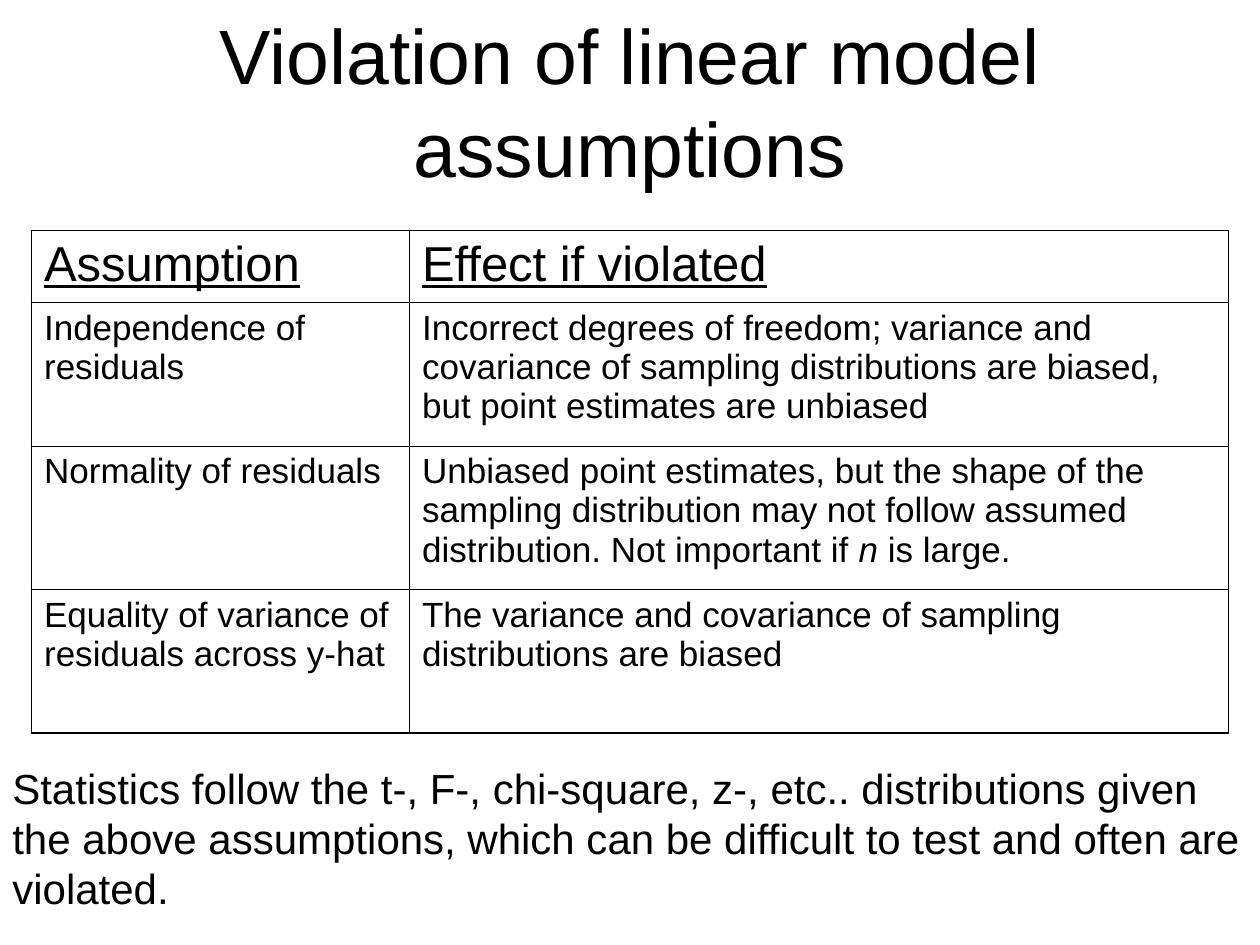
from lxml.etree import SubElement
from pptx import Presentation
from pptx.dml.color import RGBColor
from pptx.enum.text import MSO_ANCHOR, MSO_AUTO_SIZE, PP_ALIGN
from pptx.oxml.ns import qn
from pptx.util import Inches, Pt

BLACK = "000000"
COLUMN_WIDTHS = (3, 6.5)
ROW_HEIGHTS = (0.57, 1.14, 1.14, 1.14)
ASSUMPTIONS = (
    (("Assumption",), ("Effect if violated",)),
    (("Independence of residuals",),
     ("Incorrect degrees of freedom; variance and covariance of sampling "
      "distributions are biased, but point estimates are unbiased",)),
    (("Normality of residuals",),
     ("Unbiased point estimates, but the shape of the sampling distribution "
      "may not follow assumed distribution. Not important if ", "n", " is large.")),
    (("Equality of variance of residuals across y-hat",),
     ("The variance and covariance of sampling distributions are biased",)),
)


def color(value):
    """Turn a hex string into a colour."""
    return RGBColor.from_string(value)


class SlideBuilder:
    """Hold the style and the current slide."""

    def __init__(self, slide, font="Arial", ink=BLACK):
        """Keep the slide and its text style."""
        self.slide, self.font, self.ink = slide, font, ink

    def style(self, run, size, underline=False, italic=False):
        """Format one run."""
        run.font.name = self.font
        run.font.size = Pt(size)
        run.font.color.rgb = color(self.ink)
        run.font.underline = underline
        run.font.italic = italic

    def title(self, wording, left, top, width, height):
        """Fill and place the title placeholder."""
        heading = self.slide.shapes.title
        heading.left, heading.top = Inches(left), Inches(top)
        heading.width, heading.height = Inches(width), Inches(height)
        frame = heading.text_frame
        frame.text = wording
        frame.word_wrap = True
        frame.auto_size = MSO_AUTO_SIZE.NONE
        frame.vertical_anchor = MSO_ANCHOR.MIDDLE
        frame.paragraphs[0].alignment = PP_ALIGN.CENTER
        self.style(frame.paragraphs[0].runs[0], 44)

    def borders(self, cell, widths):
        """Draw the left, right, top and bottom edges of a cell."""
        properties = cell._tc.get_or_add_tcPr()
        for position, (edge, width) in enumerate(zip("LRTB", widths)):
            line = SubElement(properties, qn(f"a:ln{edge}"), w=str(Pt(width)))
            fill = SubElement(line, qn("a:solidFill"))
            SubElement(fill, qn("a:srgbClr"), val=self.ink)
            properties.insert(position, line)

    def table(self, rows, left, top, widths, heights):
        """Add a ruled table with an underlined heading row."""
        grid = self.slide.shapes.add_table(
            len(heights), len(widths), Inches(left), Inches(top),
            Inches(sum(widths)), Inches(sum(heights))).table
        grid.first_row = grid.horz_banding = False
        for column, width in zip(grid.columns, widths):
            column.width = Inches(width)
        for row, height in zip(grid.rows, heights):
            row.height = Inches(height)
        for r, row in enumerate(rows):
            for c, pieces in enumerate(row):
                cell = grid.cell(r, c)
                cell.fill.background()
                outer = (c == 0, c == len(widths) - 1, r == 0, r == len(rows) - 1)
                self.borders(cell, [1.08 if edge else 0.45 for edge in outer])
                paragraph = cell.text_frame.paragraphs[0]
                for piece in pieces:
                    run = paragraph.add_run()
                    run.text = piece
                    self.style(run, 20 if r else 28, r == 0, piece == "n")

    def text(self, wording, left, top, width, height, size):
        """Add a wrapped text box."""
        frame = self.slide.shapes.add_textbox(
            Inches(left), Inches(top), Inches(width), Inches(height)).text_frame
        frame.word_wrap = True
        frame.auto_size = MSO_AUTO_SIZE.SHAPE_TO_FIT_TEXT
        frame.text = wording
        self.style(frame.paragraphs[0].runs[0], size)


def main():
    """Build and save the slide."""
    deck = Presentation()
    deck.slide_width, deck.slide_height = Inches(10), Inches(7.5)
    builder = SlideBuilder(deck.slides.add_slide(deck.slide_layouts[5]))
    builder.title("Violation of linear model assumptions", 0.75, 0.17, 8.5, 1.25)
    builder.table(ASSUMPTIONS, 0.25, 1.83, COLUMN_WIDTHS, ROW_HEIGHTS)
    builder.text(
        "Statistics follow the t-, F-, chi-square, z-, etc.. distributions given "
        "the above assumptions, which can be difficult to test and often are "
        "violated.", 0, 6, 10, 1.3, 24)
    deck.save("out.pptx")


if __name__ == "__main__":
    main()
